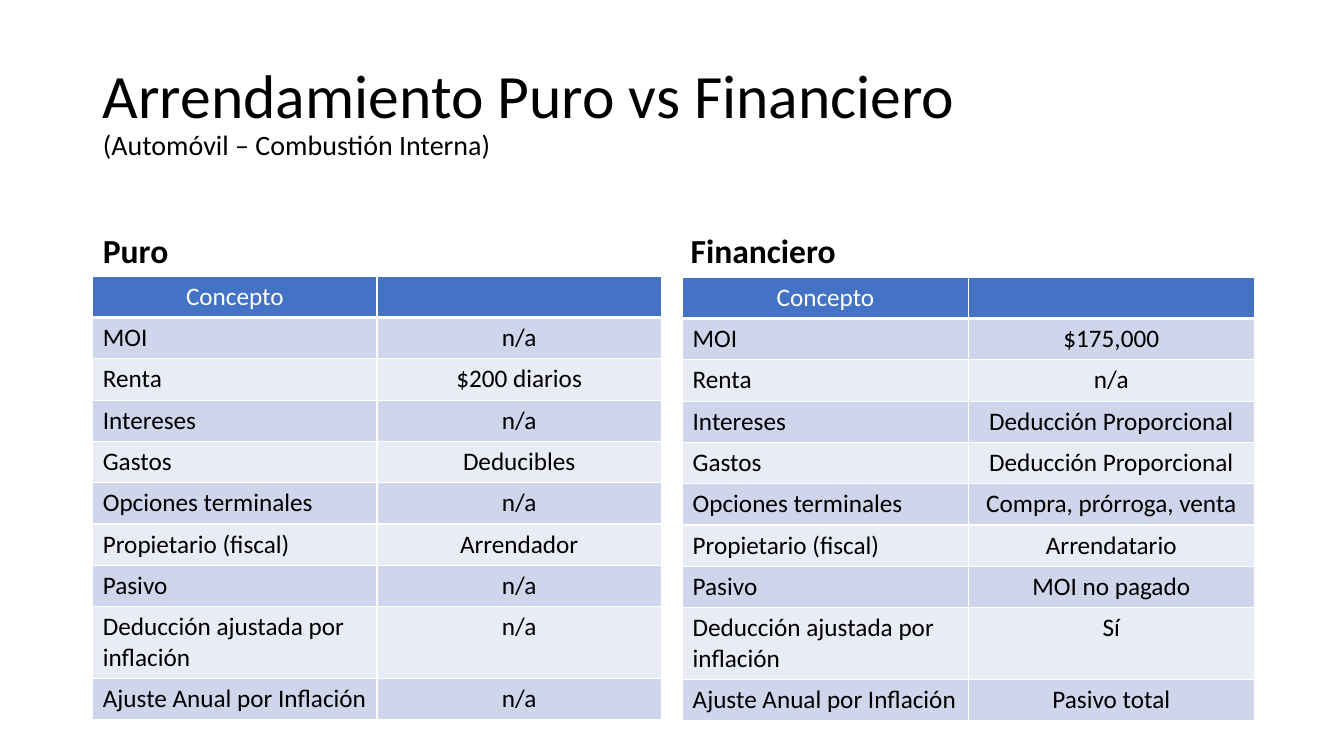
from dataclasses import dataclass

from lxml import etree
from pptx import Presentation
from pptx.dml.color import RGBColor
from pptx.enum import text as t
from pptx.oxml import ns
from pptx.util import Inches, Pt

FONT = "Calibri"
BLACK, WHITE = "000000", "FFFFFF"
HEADER_FILL, BAND_FILLS = "4472C4", ("CFD5EA", "E9EBF5")
ROW_HEIGHT, TALL_ROW_HEIGHT = 0.41, 0.7
CONCEPTS = [
    "MOI", "Renta", "Intereses", "Gastos", "Opciones terminales",
    "Propietario (fiscal)", "Pasivo", "Deducción ajustada por inflación",
    "Ajuste Anual por Inflación",
]
TALL_CONCEPT = "Deducción ajustada por inflación"


@dataclass
class Lease:
    heading: str
    heading_idx: int
    heading_left: float
    table_left: float
    table_top: float
    width: float
    values: list[str]


LEASES = [
    Lease("Puro", 1, 0.92, 0.92, 2.74, 5.64,
          ["n/a", "$200 diarios", "n/a", "Deducibles", "n/a",
           "Arrendador", "n/a", "n/a", "n/a"]),
    Lease("Financiero", 3, 6.75, 6.77, 2.75, 5.67,
          ["$175,000", "n/a", "Deducción Proporcional",
           "Deducción Proporcional", "Compra, prórroga, venta",
           "Arrendatario", "MOI no pagado", "Sí", "Pasivo total"]),
]


def rgb(value: str) -> RGBColor:
    return RGBColor.from_string(value)


def place(holder, left: float, top: float, width: float, height: float, anchor) -> None:
    holder.left, holder.top = Inches(left), Inches(top)
    holder.width, holder.height = Inches(width), Inches(height)
    holder.text_frame.auto_size = t.MSO_AUTO_SIZE.NONE
    holder.text_frame.vertical_anchor = anchor


def style(paragraph, color: str, size: float | None = None,
          bold: bool = False, align=t.PP_ALIGN.LEFT) -> None:
    paragraph.alignment = align
    font = paragraph.font
    font.name, font.bold = FONT, bold
    font.color.rgb = rgb(color)
    if size:
        font.size = Pt(size)


def set_borders(cell, bottom: float) -> None:
    properties = cell._tc.get_or_add_tcPr()
    widths = {"lnL": 1, "lnR": 1, "lnT": 1, "lnB": bottom}
    for position, (side, width) in enumerate(widths.items()):
        line = etree.Element(ns.qn(f"a:{side}"), w=str(Pt(width)))
        fill = etree.SubElement(line, ns.qn("a:solidFill"))
        etree.SubElement(fill, ns.qn("a:srgbClr"), val=WHITE)
        properties.insert(position, line)


def draw_lease(slide, lease: Lease) -> None:
    # Heading
    heading = slide.placeholders[lease.heading_idx]
    place(heading, lease.heading_left, 1.84, lease.width, 0.9, t.MSO_ANCHOR.BOTTOM)
    heading.text_frame.text = lease.heading
    paragraph = heading.text_frame.paragraphs[0]
    paragraph.line_spacing, paragraph.space_before = 0.9, Pt(0)
    style(paragraph, BLACK, 24, bold=True)

    # Table
    rows = [("Concepto", ""), *zip(CONCEPTS, lease.values)]
    heights = [TALL_ROW_HEIGHT if concept == TALL_CONCEPT else ROW_HEIGHT
               for concept, _ in rows]
    table = slide.shapes.add_table(
        len(rows), 2, Inches(lease.table_left), Inches(lease.table_top),
        Inches(lease.width), Inches(sum(heights))).table
    for r, row in enumerate(rows):
        table.rows[r].height = Inches(heights[r])
        is_header = r == 0
        for c, content in enumerate(row):
            cell = table.cell(r, c)
            cell.text = content
            cell.fill.solid()
            cell.fill.fore_color.rgb = rgb(
                HEADER_FILL if is_header else BAND_FILLS[(r - 1) % 2])
            set_borders(cell, bottom=3 if is_header else 1)
            centred = is_header or c == 1
            style(cell.text_frame.paragraphs[0], WHITE if is_header else BLACK, 18,
                  align=t.PP_ALIGN.CENTER if centred else t.PP_ALIGN.LEFT)


def main() -> None:
    deck = Presentation()
    deck.slide_width, deck.slide_height = Inches(13.33), Inches(7.5)
    comparison_layout = deck.slide_layouts[4]
    slide = deck.slides.add_slide(comparison_layout)

    # Title and subtitle line
    title = slide.shapes.title
    place(title, 0.92, 0.4, 11.5, 1.45, t.MSO_ANCHOR.MIDDLE)
    paragraph = title.text_frame.paragraphs[0]
    paragraph.line_spacing = 0.9
    style(paragraph, BLACK)
    main_title = paragraph.add_run()
    main_title.text, main_title.font.size = "Arrendamiento Puro vs Financiero", Pt(44)
    paragraph.add_line_break()
    subtitle = paragraph.add_run()
    subtitle.text, subtitle.font.size = "(Automóvil – Combustión Interna)", Pt(20)

    # Content placeholders give way to the tables
    for idx in (2, 4):
        unused = slide.placeholders[idx].element
        unused.getparent().remove(unused)
    for lease in LEASES:
        draw_lease(slide, lease)

    deck.save("out.pptx")


if __name__ == "__main__":
    main()
